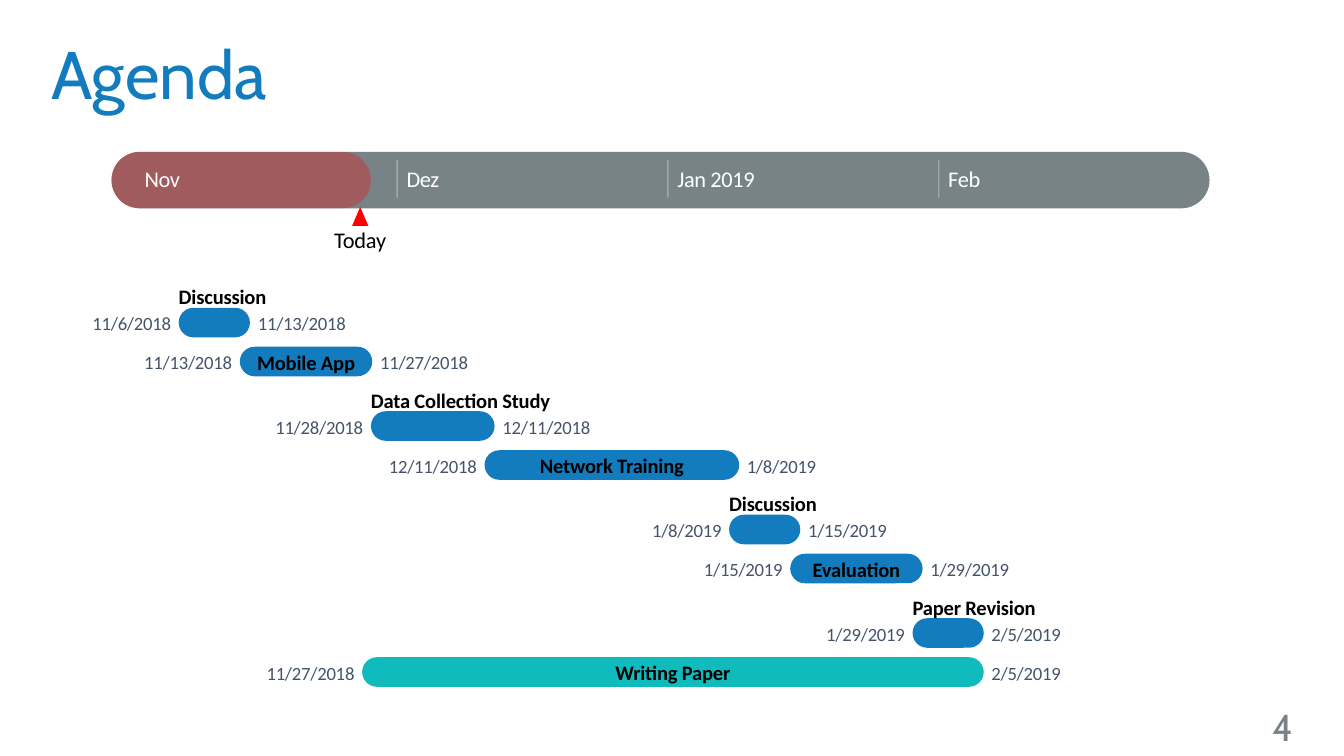
from lxml.etree import SubElement
from pptx import Presentation
from pptx.dml.color import RGBColor
from pptx.enum.shapes import MSO_CONNECTOR, MSO_SHAPE
from pptx.enum.text import MSO_ANCHOR, PP_ALIGN
from pptx.oxml.ns import qn
from pptx.util import Inches, Pt

# The slide is a grid of 1000 columns by 562.5 rows.
WIDE, HIGH = Inches(10), Inches(5.625)
COLS, ROWS = 1000, 562.5

BLUE = RGBColor(0x13, 0x7C, 0xBE)
TEAL = RGBColor(0x10, 0xBB, 0xBE)
GRAY = RGBColor(0x78, 0x83, 0x88)
RED = RGBColor(0xFF, 0x00, 0x00)
SLATE = RGBColor(0x44, 0x54, 0x6A)
BLACK = RGBColor(0x00, 0x00, 0x00)
WHITE = RGBColor(0xFF, 0xFF, 0xFF)

HEAD = {"name": "Cabin", "size": Pt(36), "color": BLUE}
PAGE = {"name": "Cabin", "size": Pt(20), "color": GRAY}
MONTH = {"name": "Calibri", "size": Pt(12), "color": WHITE, "spc": -20}
TODAY = {**MONTH, "color": BLACK, "spc": -10}
DATE = {"name": "Calibri", "size": Pt(10), "color": SLATE, "spc": -10}
NAME = {"name": "Calibri", "size": Pt(11), "color": BLACK, "bold": True,
        "spc": -10}

DAY = 6.5  # columns in a day
START = 100.5  # column of the first of November
MONTHS = {11: ("Nov", 0), 12: ("Dez", 30), 1: ("Jan 2019", 61), 2: ("Feb", 92)}

# name, width of name, first day, last day, bar colour
TASKS = [
    ("Discussion", 68, "11/6/2018", "11/13/2018", BLUE),
    ("Mobile App", 81, "11/13/2018", "11/27/2018", BLUE),
    ("Data Collection Study", 140, "11/28/2018", "12/11/2018", BLUE),
    ("Network Training", 112, "12/11/2018", "1/8/2019", BLUE),
    ("Discussion", 68, "1/8/2019", "1/15/2019", BLUE),
    ("Evaluation", 68, "1/15/2019", "1/29/2019", BLUE),
    ("Paper Revision", 96, "1/29/2019", "2/5/2019", BLUE),
    ("Writing Paper", 90, "11/27/2018", "2/5/2019", TEAL),
]


def place(x, y, w, h):
    """Turn a box in grid units into slide lengths."""
    return (int(WIDE * x / COLS), int(HIGH * y / ROWS),
            int(WIDE * w / COLS), int(HIGH * h / ROWS))


def fade(part, share):
    """Make the solid colour inside part see-through."""
    tone = next(part.iter(qn("a:srgbClr")))
    SubElement(tone, qn("a:alpha")).set("val", str(share * 1000))


def write(shape, text, style, align=PP_ALIGN.LEFT, anchor=MSO_ANCHOR.MIDDLE,
          pad=0):
    frame = shape.text_frame
    _, _, side, edge = place(0, 0, pad, pad / 2)
    looks = {"word_wrap": True, "vertical_anchor": anchor,
             "margin_left": side, "margin_right": side,
             "margin_top": edge, "margin_bottom": edge}
    for key, value in looks.items():
        setattr(frame, key, value)
    line = frame.paragraphs[0]
    line.alignment = align
    run = line.add_run()
    run.text = text
    for key, value in style.items():
        if key == "color":
            run.font.color.rgb = value
        elif key == "spc":
            run._r.get_or_add_rPr().set(key, str(value))
        else:
            setattr(run.font, key, value)


def label(slide, box, text, style, align=PP_ALIGN.LEFT, **more):
    write(slide.shapes.add_textbox(*place(*box)), text, style, align, **more)


def block(slide, kind, box, fill):
    shape = slide.shapes.add_shape(kind, *place(*box))
    shape.shadow.inherit = False
    shape.fill.solid()
    shape.fill.fore_color.rgb = fill
    shape.line.fill.background()
    return shape


def pill(slide, box, fill):
    shape = block(slide, MSO_SHAPE.ROUNDED_RECTANGLE, box, fill)
    shape.adjustments[0] = 0.5
    return shape


def tick(slide, x, y, h):
    left, top, _, tall = place(x, y, 0, h)
    line = slide.shapes.add_connector(
        MSO_CONNECTOR.STRAIGHT, left, top, left, top + tall)
    line.line.width = Pt(0.75)
    line.line.color.rgb = WHITE
    props = line._element.spPr
    fade(props, 30)
    SubElement(props, qn("a:effectLst"))


def head(slide, box, text):
    title = slide.shapes.title
    title.left, title.top, title.width, title.height = place(*box)
    write(title, text, HEAD, anchor=MSO_ANCHOR.TOP, pad=10)


def band(slide, box):
    """Month band with the elapsed part and the marker for today."""
    x, y, w, h = box
    pill(slide, box, GRAY)
    fade(pill(slide, (x, y, 193, h), RED)._element.spPr, 30)
    now = 268
    block(slide, MSO_SHAPE.ISOSCELES_TRIANGLE, (now - 6, y + 41, 12, 14), RED)
    label(slide, (now - 21, y + 55, 42, 20), "Today", TODAY, PP_ALIGN.CENTER)
    for name, day in MONTHS.values():
        left = START + day * DAY
        if day:
            tick(slide, left, y + 6, 28)
        size = 10 + 7 * len(name)
        label(slide, (left + 7, y + 10, size, 20), name, MONTH)


def count(date):
    """Days from the first of November."""
    month, day, _ = map(int, date.split("/"))
    return MONTHS[month][1] + day - 1


def task(slide, box, name, size, dates, inside):
    """Dates on both sides of a bar and its name."""
    x, y, w, _ = box
    for date, side in zip(dates, (-1, 1)):
        wide = 7 * len(date) - 2
        left = x - 4.5 - wide if side < 0 else x + w + 4.5
        label(slide, (left, y + 3, wide, 17), date, DATE, PP_ALIGN.CENTER)
    if inside:
        spot = (x + (w - size) / 2, y + 2, size, 19)
        label(slide, spot, name, NAME, PP_ALIGN.CENTER)
    else:
        label(slide, (x, y - 18, size, 19), name, NAME)


def chart(slide, top):
    """Task bars in pairs: first named above, second named inside."""
    for i, (name, size, first, last, fill) in enumerate(TASKS):
        pair, low = divmod(i, 2)
        begin, end = count(first), count(last)
        box = (START + begin * DAY, top + 77 * pair + 29 * low,
               (end - begin + 1) * DAY + 1, 22)
        pill(slide, box, fill)
        task(slide, box, name, size, (first, last), low)


def main():
    deck = Presentation()
    deck.slide_width, deck.slide_height = WIDE, HIGH
    slide = deck.slides.add_slide(deck.slide_layouts[5])
    head(slide, (28, 19, 945, 90), "Agenda")
    band(slide, (83, 113, 817, 42))
    chart(slide, 229)
    label(slide, (676, 523, 296, 35), "4", PAGE, PP_ALIGN.RIGHT, pad=10)
    deck.save("out.pptx")


if __name__ == "__main__":
    main()
